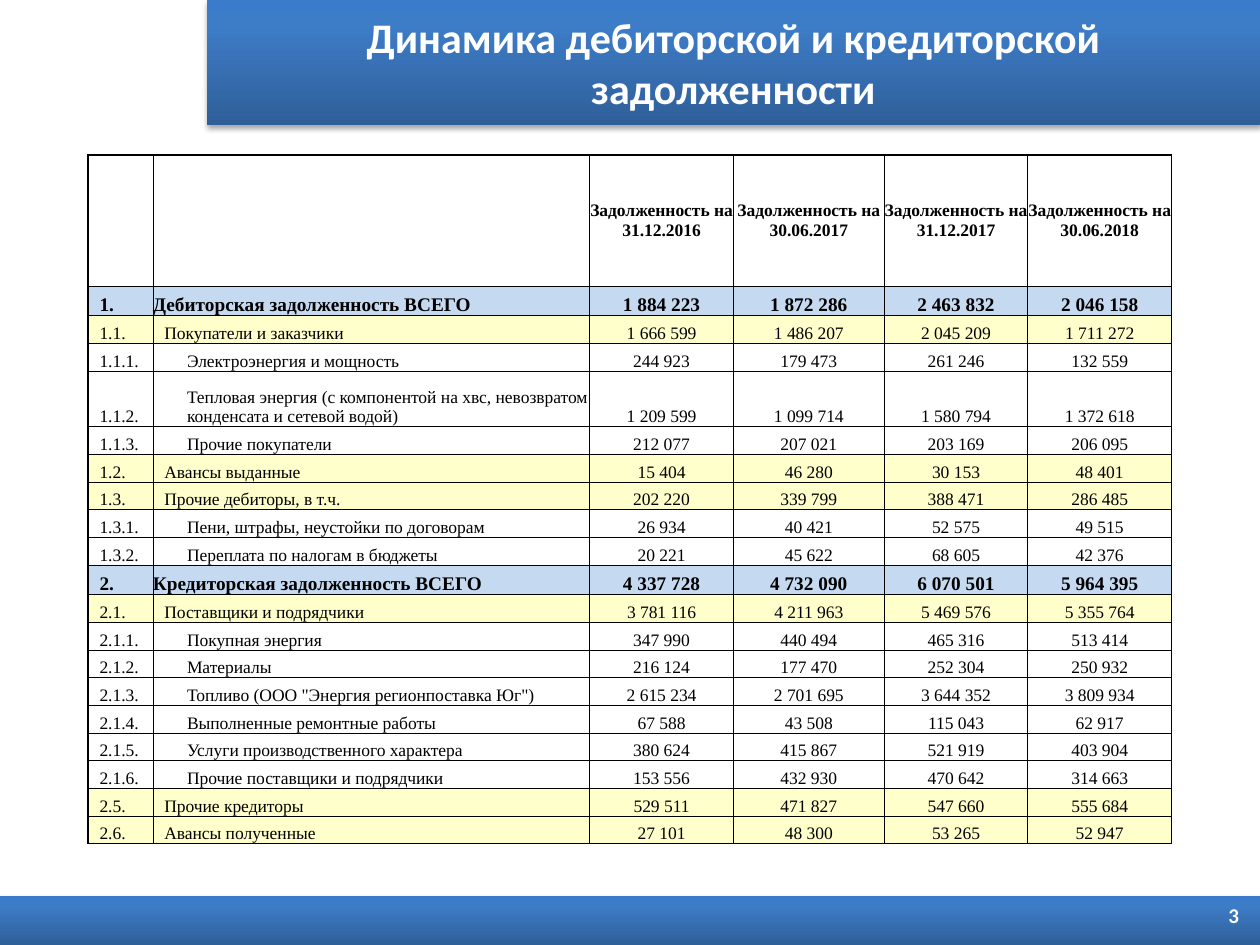
"""Build a slide with a table of receivables and payables over four reporting dates."""
from pptx import Presentation
from pptx import util as u
from pptx.dml.color import RGBColor
from pptx.enum import shapes, text
from pptx.oxml import parse_xml
from pptx.oxml.ns import nsdecls, qn

TITLE = "Динамика дебиторской и кредиторской задолженности"
PAGE_NUMBER = "3"
DATES = ["31.12.2016", "30.06.2017", "31.12.2017", "30.06.2018"]
DEBTS = [
    ("1.", "Дебиторская задолженность ВСЕГО", "1 884 223", "1 872 286", "2 463 832", "2 046 158"),
    ("1.1.", "Покупатели и заказчики", "1 666 599", "1 486 207", "2 045 209", "1 711 272"),
    ("1.1.1.", "Электроэнергия и мощность", "244 923", "179 473", "261 246", "132 559"),
    ("1.1.2.", "Тепловая энергия (с компонентой на хвс, невозвратом конденсата и сетевой водой)",
     "1 209 599", "1 099 714", "1 580 794", "1 372 618"),
    ("1.1.3.", "Прочие покупатели", "212 077", "207 021", "203 169", "206 095"),
    ("1.2.", "Авансы выданные", "15 404", "46 280", "30 153", "48 401"),
    ("1.3.", "Прочие дебиторы, в т.ч.", "202 220", "339 799", "388 471", "286 485"),
    ("1.3.1.", "Пени, штрафы, неустойки по договорам", "26 934", "40 421", "52 575", "49 515"),
    ("1.3.2.", "Переплата по налогам в бюджеты", "20 221", "45 622", "68 605", "42 376"),
    ("2.", "Кредиторская задолженность ВСЕГО", "4 337 728", "4 732 090", "6 070 501", "5 964 395"),
    ("2.1.", "Поставщики и подрядчики", "3 781 116", "4 211 963", "5 469 576", "5 355 764"),
    ("2.1.1.", "Покупная энергия", "347 990", "440 494", "465 316", "513 414"),
    ("2.1.2.", "Материалы", "216 124", "177 470", "252 304", "250 932"),
    ("2.1.3.", "Топливо (ООО \"Энергия регионпоставка Юг\")",
     "2 615 234", "2 701 695", "3 644 352", "3 809 934"),
    ("2.1.4.", "Выполненные ремонтные работы", "67 588", "43 508", "115 043", "62 917"),
    ("2.1.5.", "Услуги производственного характера", "380 624", "415 867", "521 919", "403 904"),
    ("2.1.6.", "Прочие поставщики и подрядчики", "153 556", "432 930", "470 642", "314 663"),
    ("2.5.", "Прочие кредиторы", "529 511", "471 827", "547 660", "555 684"),
    ("2.6.", "Авансы полученные", "27 101", "48 300", "53 265", "52 947"),
]

THEME = {
    "heading_font": "Calibri", "table_font": "Times New Roman",
    "white": "FFFFFF", "black": "000000",
    "gradient": [(0, "2F5F99"), (80, "3D7CC7"), (100, "3A7CCB")],
    "level_fills": ["C5D9F1", "FFFFCC", None],
    "title_size": 24, "page_size": 12, "total_size": 11, "table_size": 10,
}
LEVEL_INDENTS = [0, 6.5, 19.5]
NUMBER_INDENT = 6.5
COLUMN_WIDTHS = [37, 249.6, 82.1, 86.2, 82.1, 82.1]
HEADER_HEIGHT, TOTAL_HEIGHT, LINE_HEIGHT, WRAPPED_HEIGHT = 75, 16.9, 15.83, 31.7
WRAP_LENGTH = 60
TABLE_LEFT, TABLE_TOP = 50.4, 88.6
OUTER_LINE, INNER_LINE = 1, 0.5


def place(shape, left, top, width, height):
    shape.left, shape.top = u.Pt(left), u.Pt(top)
    shape.width, shape.height = u.Pt(width), u.Pt(height)


def style_band(shape):
    properties = shape._element.spPr
    shape.line.fill.background()
    shape.fill.gradient()
    stops = "".join(f'<a:gs pos="{position * 1000}"><a:srgbClr val="{color}"/></a:gs>'
                    for position, color in THEME["gradient"])
    properties.replace(properties.find(qn("a:gradFill")), parse_xml(
        f'<a:gradFill {nsdecls("a")} rotWithShape="1"><a:gsLst>{stops}</a:gsLst>'
        '<a:lin ang="16200000" scaled="0"/></a:gradFill>'))
    shape.shadow.inherit = False
    properties.find(qn("a:effectLst")).append(parse_xml(
        f'<a:outerShdw {nsdecls("a")} blurRad="{u.Pt(3.1)}" dist="{u.Pt(1.8)}" dir="5400000" '
        'rotWithShape="0"><a:srgbClr val="000000"><a:alpha val="35000"/></a:srgbClr></a:outerShdw>'))


def write(frame, content, font, size, color, bold, alignment):
    paragraph = frame.paragraphs[0]
    paragraph.alignment = alignment
    run = paragraph.add_run()
    run.text = content
    run.font.name, run.font.size, run.font.bold = font, u.Pt(size), bold
    run.font.color.rgb = RGBColor.from_string(color)


def draw_borders(cell, widths):
    properties = cell._tc.get_or_add_tcPr()
    for side, width in zip("LRTB", widths):
        properties.append(parse_xml(
            f'<a:ln{side} {nsdecls("a")} w="{u.Pt(width)}"><a:solidFill>'
            f'<a:srgbClr val="{THEME["black"]}"/></a:solidFill></a:ln{side}>'))


def format_cell(cell, content, indent, size, bold, alignment, anchor, fill):
    cell.margin_left = u.Pt(indent)
    cell.margin_right = cell.margin_top = cell.margin_bottom = 0
    cell.vertical_anchor = anchor
    if fill:
        cell.fill.solid()
        cell.fill.fore_color.rgb = RGBColor.from_string(fill)
    else:
        cell.fill.background()
    if content:
        write(cell.text_frame, content, THEME["table_font"], size, THEME["black"], bold, alignment)


def row_height(debt):
    if debt[0].count(".") == 1:
        return TOTAL_HEIGHT
    return WRAPPED_HEIGHT if len(debt[1]) > WRAP_LENGTH else LINE_HEIGHT


def add_debt_table(slide):
    heights = [HEADER_HEIGHT] + [row_height(debt) for debt in DEBTS]
    header = ["", ""] + [f"Задолженность на {date}" for date in DATES]
    table = slide.shapes.add_table(
        len(heights), len(COLUMN_WIDTHS), u.Pt(TABLE_LEFT), u.Pt(TABLE_TOP),
        u.Pt(sum(COLUMN_WIDTHS)), u.Pt(sum(heights))).table
    table.first_row = table.horz_banding = False
    for column, width in zip(table.columns, COLUMN_WIDTHS):
        column.width = u.Pt(width)
    for row_index, values in enumerate([header] + DEBTS):
        table.rows[row_index].height = u.Pt(heights[row_index])
        is_header = row_index == 0
        level = values[0].count(".") - 1
        is_total = level == 0
        for column_index, value in enumerate(values):
            cell = table.cell(row_index, column_index)
            draw_borders(cell, [
                OUTER_LINE if column_index == 0 else INNER_LINE, INNER_LINE,
                OUTER_LINE if is_header else INNER_LINE,
                OUTER_LINE if row_index == len(DEBTS) else INNER_LINE])
            indent = 0
            if not is_header and column_index < 2:
                indent = [NUMBER_INDENT, LEVEL_INDENTS[level]][column_index]
            format_cell(
                cell, value, indent,
                THEME["total_size"] if is_total else THEME["table_size"],
                is_header or is_total,
                text.PP_ALIGN.LEFT if column_index < 2 else text.PP_ALIGN.CENTER,
                text.MSO_ANCHOR.MIDDLE if is_header else text.MSO_ANCHOR.BOTTOM,
                None if is_header else THEME["level_fills"][level])


def main():
    presentation = Presentation()
    presentation.slide_width, presentation.slide_height = u.Pt(720), u.Pt(540)
    slide = presentation.slides.add_slide(presentation.slide_layouts[5])

    title = slide.shapes.title
    place(title, 118.2, 0, 601.8, 71.3)
    style_band(title)
    frame = title.text_frame
    frame.auto_size = text.MSO_AUTO_SIZE.NONE
    frame.vertical_anchor = text.MSO_ANCHOR.MIDDLE
    frame.margin_left = frame.margin_right = u.Pt(14)
    write(frame, TITLE, THEME["heading_font"], THEME["title_size"], THEME["white"], True,
          text.PP_ALIGN.CENTER)

    footer = slide.shapes.add_shape(shapes.MSO_SHAPE.RECTANGLE, 0, 0, 0, 0)
    place(footer, 0, 512, 720, 28)
    style_band(footer)

    page = slide.shapes.add_textbox(0, 0, 0, 0)
    place(page, 680.4, 506.2, 34.6, 33.8)
    page.text_frame.word_wrap = True
    page.text_frame.vertical_anchor = text.MSO_ANCHOR.MIDDLE
    write(page.text_frame, PAGE_NUMBER, THEME["heading_font"], THEME["page_size"],
          THEME["white"], True, text.PP_ALIGN.RIGHT)

    add_debt_table(slide)
    presentation.save("out.pptx")


if __name__ == "__main__":
    main()
